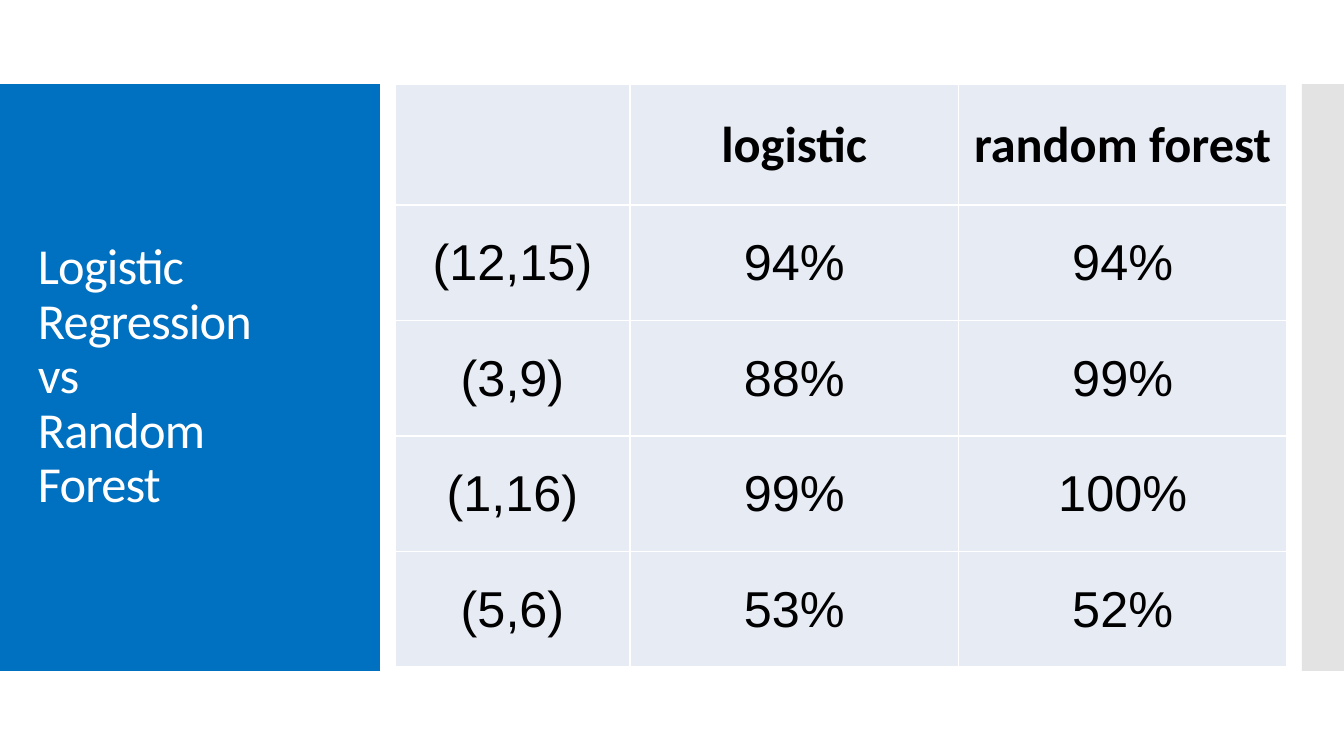
from lxml.etree import SubElement
from pptx import Presentation
from pptx.dml.color import RGBColor
from pptx.enum.shapes import MSO_SHAPE as Preset
from pptx.enum.text import MSO_ANCHOR as Anchor, PP_ALIGN as Align
from pptx.oxml import parse_xml
from pptx.oxml.ns import nsdecls, qn
from pptx.util import Pt

PX = 914400 / 100.8
WIDTH, HEIGHT = 1344, 756
BAND_TOP, BAND_HEIGHT = 84, 587
FONT = "Calibri"
COLORS = {
    "panel": "0070C0",
    "edge": "C8C8C8",
    "cell": "E7EBF4",
    "white": "FFFFFF",
    "black": "000000",
}
ACCURACY = [
    ("", "logistic", "random forest"),
    ("(12,15)", "94%", "94%"),
    ("(3,9)", "88%", "99%"),
    ("(1,16)", "99%", "100%"),
    ("(5,6)", "53%", "52%"),
]


def px(length):
    return round(length * PX)


def color(name):
    return RGBColor.from_string(COLORS[name])


def write(frame, text, *, ink, size=36, bold=False, align=Align.LEFT,
          line_spacing=1.0, tracking=0):
    """Fill a frame with one right-to-left paragraph; \\v breaks the line."""
    frame.word_wrap = True
    paragraph = frame.paragraphs[0]
    paragraph.text = text
    paragraph.alignment = align
    paragraph.line_spacing = line_spacing
    paragraph._p.get_or_add_pPr().set("rtl", "1")
    for run in paragraph.runs:
        run.font.name = FONT
        run.font.size = Pt(size)
        run.font.bold = bold
        run.font.color.rgb = color(ink)
        properties = run._r.get_or_add_rPr()
        properties.set("spc", str(tracking))
        # Digits in right-to-left text take the complex-script font
        SubElement(properties, qn("a:cs")).set("typeface", "Arial")


def add_band(slide, left, top, width, height, fill, opacity=100):
    band = slide.shapes.add_shape(
        Preset.RECTANGLE, px(left), px(top), px(width), px(height))
    band.shadow.inherit = False
    band.line.fill.background()
    band.fill.solid()
    band.fill.fore_color.rgb = color(fill)
    if opacity < 100:
        tint = band._element.spPr.find(qn("a:solidFill"))[0]
        SubElement(tint, qn("a:alpha")).set("val", str(opacity * 1000))


def add_title_panel(slide, left, top, width, height):
    add_band(slide, left, top, width, height, "panel")
    title = slide.shapes.add_textbox(
        px(left + 28), px(top + 40), px(width - 55), px(height - 80))
    title.text_frame.vertical_anchor = Anchor.MIDDLE
    write(title.text_frame, "Logistic Regression\vvs\vRandom \vForest",
          ink="white", line_spacing=0.9, tracking=-60)


def style_cell(cell):
    cell.vertical_anchor = Anchor.MIDDLE
    cell.margin_left = cell.margin_right = cell.margin_top = px(1)
    cell.margin_bottom = 0
    cell.fill.solid()
    cell.fill.fore_color.rgb = color("cell")
    properties = cell._tc.get_or_add_tcPr()
    for order, side in enumerate(("lnL", "lnR", "lnT", "lnB")):
        properties.insert(order, parse_xml(
            f'<a:{side} {nsdecls("a")} w="{Pt(1)}"><a:solidFill>'
            f'<a:srgbClr val="{COLORS["white"]}"/></a:solidFill></a:{side}>'))


def add_accuracy_table(slide, left, top, width, height):
    label_width, header_height = 235, 121
    rows, columns = len(ACCURACY), len(ACCURACY[0])
    table = slide.shapes.add_table(
        rows, columns, px(left), px(top), px(width), px(height)).table
    table.first_row = table.horz_banding = False
    for index, column in enumerate(table.columns):
        column.width = px((width - label_width) / (columns - 1)
                          if index else label_width)
    for index, row in enumerate(table.rows):
        row.height = px((height - header_height) / (rows - 1)
                        if index else header_height)
    for r, values in enumerate(ACCURACY):
        for c, value in enumerate(values):
            cell = table.cell(r, c)
            style_cell(cell)
            if value:
                write(cell.text_frame, value, ink="black", bold=r == 0,
                      align=Align.CENTER)


def main():
    deck = Presentation()
    deck.slide_width, deck.slide_height = px(WIDTH), px(HEIGHT)
    slide = deck.slides.add_slide(deck.slide_layouts[6])
    # Title panel on the left, grey edge on the right
    add_title_panel(slide, 0, BAND_TOP, 380, BAND_HEIGHT)
    add_band(slide, 1302, BAND_TOP, 42, BAND_HEIGHT, "edge", opacity=50)
    # Accuracy of both models for each pair
    add_accuracy_table(slide, 395, BAND_TOP, 892, 583)
    deck.save("out.pptx")


if __name__ == "__main__":
    main()
